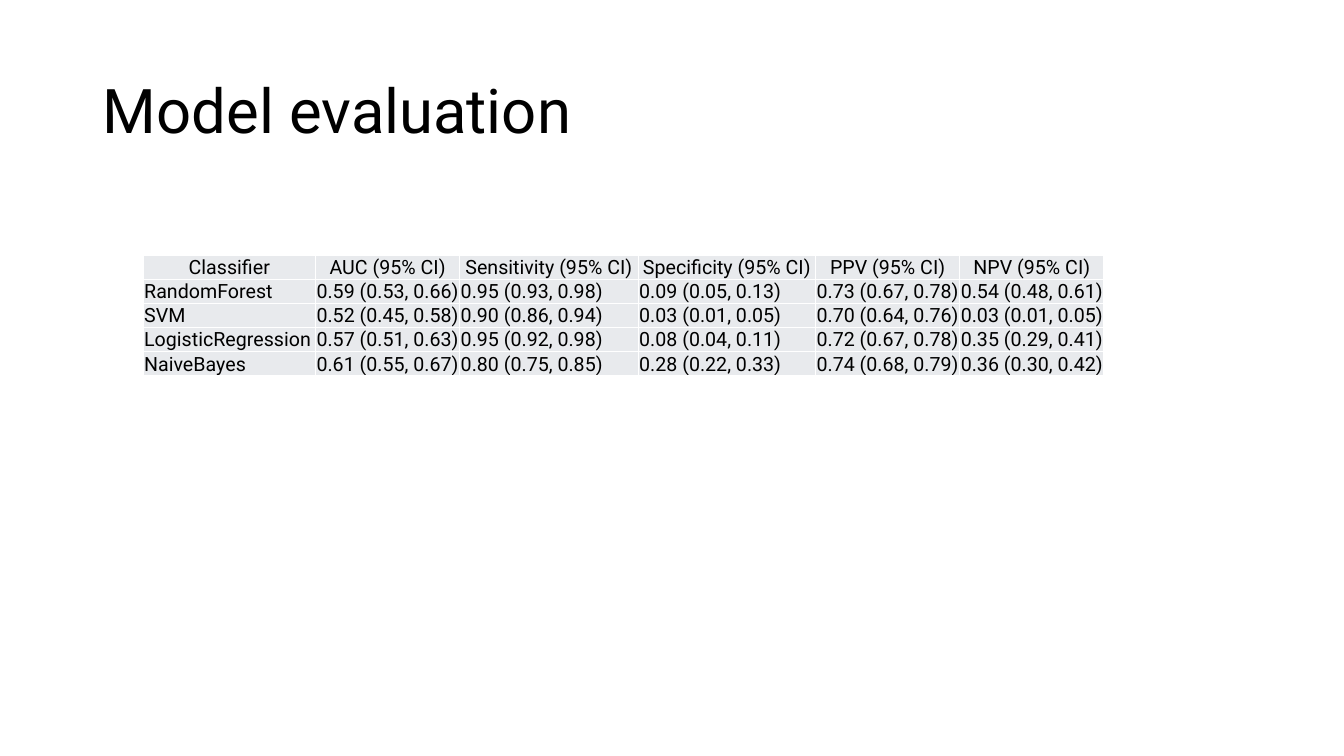
from lxml import etree
from pptx import Presentation
from pptx.dml.color import RGBColor
from pptx.enum.text import MSO_ANCHOR, PP_ALIGN
from pptx.oxml.ns import qn
from pptx.util import Inches, Pt

LEFT, CENTER = PP_ALIGN.LEFT, PP_ALIGN.CENTER
TOP, MIDDLE, BOTTOM = MSO_ANCHOR.TOP, MSO_ANCHOR.MIDDLE, MSO_ANCHOR.BOTTOM
TITLE_ONLY = 5

HEADING = "Model evaluation"
METRICS = ["AUC", "Sensitivity", "Specificity", "PPV", "NPV"]
SCORES = {
    "RandomForest": ["0.59 (0.53, 0.66)", "0.95 (0.93, 0.98)", "0.09 (0.05, 0.13)",
                     "0.73 (0.67, 0.78)", "0.54 (0.48, 0.61)"],
    "SVM": ["0.52 (0.45, 0.58)", "0.90 (0.86, 0.94)", "0.03 (0.01, 0.05)",
            "0.70 (0.64, 0.76)", "0.03 (0.01, 0.05)"],
    "LogisticRegression": ["0.57 (0.51, 0.63)", "0.95 (0.92, 0.98)", "0.08 (0.04, 0.11)",
                           "0.72 (0.67, 0.78)", "0.35 (0.29, 0.41)"],
    "NaiveBayes": ["0.61 (0.55, 0.67)", "0.80 (0.75, 0.85)", "0.28 (0.22, 0.33)",
                   "0.74 (0.68, 0.79)", "0.36 (0.30, 0.42)"],
}
COLORS = {"text": "000000", "cell": "E8EAED", "border": "FFFFFF"}
FONT = "Roboto"

SLIDE_W, SLIDE_H = 13.33, 7.5
TITLE_BOX = (0.92, 0.4, 11.5, 1.45)
TABLE_LEFT, TABLE_TOP = 1.42, 2.53
COLUMN_WIDTHS = [1.71, 1.43, 1.77, 1.76, 1.43, 1.43]
ROW_HEIGHT = 0.24
CELL_INSET = 0.01


def style_paragraph(paragraph, size, align):
    paragraph.alignment = align
    for run in paragraph.runs:
        run.font.name = FONT
        run.font.size = Pt(size)
        run.font.bold = False
        run.font.color.rgb = RGBColor.from_string(COLORS["text"])


def add_borders(cell, width, color):
    """Put a solid line on all four sides; lines must precede the cell's fill."""
    properties = cell._tc.get_or_add_tcPr()
    for position, side in enumerate(("a:lnL", "a:lnR", "a:lnT", "a:lnB")):
        line = etree.Element(qn(side), w=str(Pt(width)))
        fill = etree.SubElement(line, qn("a:solidFill"))
        etree.SubElement(fill, qn("a:srgbClr"), val=color)
        properties.insert(position, line)


def add_heading(slide):
    title = slide.shapes.title
    title.left, title.top, title.width, title.height = map(Inches, TITLE_BOX)
    title.text_frame.text = HEADING
    title.text_frame.vertical_anchor = MIDDLE
    title.text_frame.word_wrap = True
    paragraph = title.text_frame.paragraphs[0]
    paragraph.line_spacing = 0.9
    style_paragraph(paragraph, 44, LEFT)


def add_score_table(slide):
    header = ["Classifier"] + [f"{metric} (95% CI)" for metric in METRICS]
    rows = [header] + [[name] + values for name, values in SCORES.items()]
    scores = slide.shapes.add_table(
        len(rows), len(header), Inches(TABLE_LEFT), Inches(TABLE_TOP),
        Inches(sum(COLUMN_WIDTHS)), Inches(ROW_HEIGHT * len(rows))).table
    scores.first_row = scores.horz_banding = False
    for column, width in zip(scores.columns, COLUMN_WIDTHS):
        column.width = Inches(width)

    for r, values in enumerate(rows):
        scores.rows[r].height = Inches(ROW_HEIGHT)
        for c, value in enumerate(values):
            cell = scores.cell(r, c)
            cell.text_frame.text = value
            cell.margin_left = cell.margin_right = cell.margin_top = Inches(CELL_INSET)
            cell.margin_bottom = 0
            cell.vertical_anchor = BOTTOM if r else TOP
            cell.fill.solid()
            cell.fill.fore_color.rgb = RGBColor.from_string(COLORS["cell"])
            add_borders(cell, 1, COLORS["border"])
            style_paragraph(cell.text_frame.paragraphs[0], 14, LEFT if r else CENTER)


def main():
    deck = Presentation()
    deck.slide_width, deck.slide_height = Inches(SLIDE_W), Inches(SLIDE_H)
    slide = deck.slides.add_slide(deck.slide_layouts[TITLE_ONLY])
    add_heading(slide)
    add_score_table(slide)
    deck.save("out.pptx")


if __name__ == "__main__":
    main()
